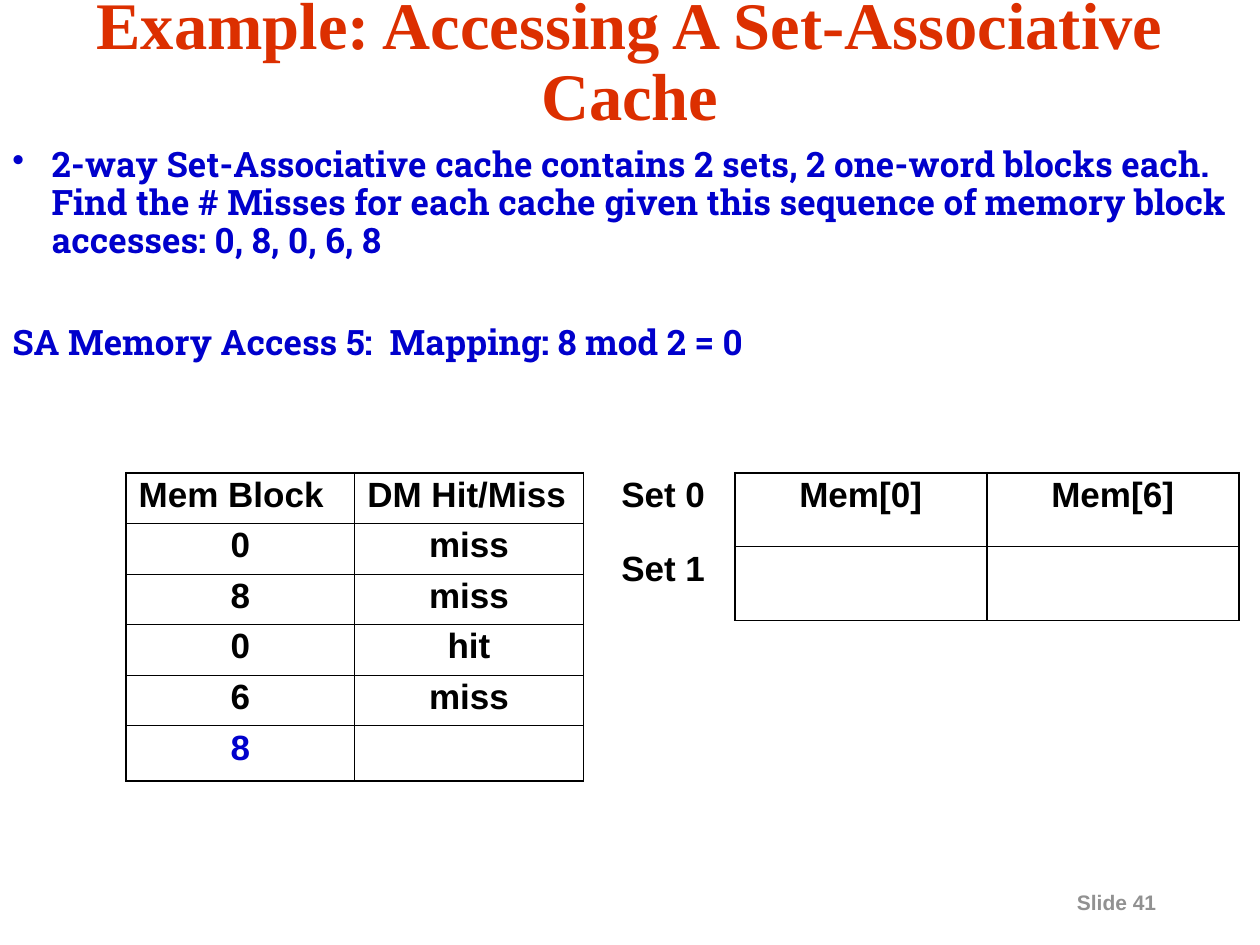
from lxml.etree import SubElement
from pptx import Presentation
from pptx.dml.color import RGBColor
from pptx.enum.text import MSO_ANCHOR, MSO_AUTO_SIZE, PP_ALIGN
from pptx.oxml.ns import qn
from pptx.util import Cm, Pt

COLORS = {"title": "DC2F00", "accent": "0000CC", "text": "000000", "footer": "919191"}
THICK, THIN = 1.08, 0.45

TITLE = "Example: Accessing A Set-Associative Cache"
QUESTION = (
    "2-way Set-Associative cache contains 2 sets, 2 one-word blocks each. "
    "Find the # Misses for each cache given this sequence of memory block "
    "accesses: 0, 8, 0, 6, 8"
)
ACCESS = "SA Memory Access 5:  Mapping: 8 mod 2 = 0"
FOOTER = "Slide 41"

CACHE = {
    "rows": [("Set 0", "Mem[0]", "Mem[6]"), ("Set 1", "", "")],
    "left": 12.27, "widths": [2.54, 5.08, 5.08], "heights": [1.49, 1.49],
    "left_aligned": {(0, 0), (1, 0)}, "accented": set(),
    "first_boxed": 1, "divider": THICK,
}
ACCESSES = {
    "rows": [("Mem Block", "DM Hit/Miss"), ("0", "miss"), ("8", "miss"),
             ("0", "hit"), ("6", "miss"), ("8", "")],
    "left": 2.54, "widths": [4.61, 4.61], "heights": [1.02] * 5 + [1.11],
    "left_aligned": {(0, 0), (0, 1)}, "accented": {(5, 0)},
    "first_boxed": 0, "divider": THIN,
}
TABLES_TOP = 9.53


def style(para, size, font, color, align=PP_ALIGN.LEFT, spacing=0.9):
    para.alignment = align
    para.line_spacing = spacing
    for span in para.runs:
        span.font.size = Pt(size)
        span.font.name = font
        span.font.bold = True
        span.font.color.rgb = RGBColor.from_string(COLORS[color])


def add_box(slide, left, top, width, height, lines):
    box = slide.shapes.add_textbox(Cm(left), Cm(top), Cm(width), Cm(height))
    frame = box.text_frame
    frame.word_wrap = True
    frame.text = "\n".join(lines)
    return frame


def hang(para, bullet=None):
    """Give a paragraph a hanging indent and, if asked, a bullet."""
    properties = para._p.get_or_add_pPr()
    properties.set("marL", str(Cm(0.79)))
    properties.set("indent", str(-Cm(0.79)))
    if bullet:
        color = SubElement(properties, qn("a:buClr"))
        SubElement(color, qn("a:srgbClr"), val=COLORS["accent"])
        SubElement(properties, qn("a:buChar"), char=bullet)
    else:
        SubElement(properties, qn("a:buNone"))


def set_borders(cell, widths):
    """Draw the left, right, top and bottom borders; a width of 0 hides one."""
    properties = cell._tc.get_or_add_tcPr()
    for side, width in zip("LRTB", widths):
        line = SubElement(properties, qn(f"a:ln{side}"), w=str(Pt(width)))
        if width:
            fill = SubElement(line, qn("a:solidFill"))
            SubElement(fill, qn("a:srgbClr"), val=COLORS["text"])
        else:
            SubElement(line, qn("a:noFill"))


def border_widths(data, row, column):
    first, last = data["first_boxed"], len(data["widths"]) - 1
    if column < first:
        return 0, THICK if column == first - 1 else 0, 0, 0
    return (
        THICK if column == first else data["divider"],
        THICK if column == last else data["divider"],
        THICK if row == 0 else THIN,
        THICK if row == len(data["rows"]) - 1 else THIN,
    )


def add_grid(slide, data):
    rows, widths, heights = data["rows"], data["widths"], data["heights"]
    table = slide.shapes.add_table(
        len(rows), len(widths), Cm(data["left"]), Cm(TABLES_TOP),
        Cm(sum(widths)), Cm(sum(heights))).table
    table.first_row = table.horz_banding = False
    for column, width in zip(table.columns, widths):
        column.width = Cm(width)
    for row, height in zip(table.rows, heights):
        row.height = Cm(height)
    for r, values in enumerate(rows):
        for c, value in enumerate(values):
            cell = table.cell(r, c)
            set_borders(cell, border_widths(data, r, c))
            cell.fill.background()
            cell.text_frame.text = value
            align = PP_ALIGN.LEFT if (r, c) in data["left_aligned"] else PP_ALIGN.CENTER
            color = "accent" if (r, c) in data["accented"] else "text"
            style(cell.text_frame.paragraphs[0], 20, "Arial", color, align)


def main():
    deck = Presentation()
    deck.slide_width, deck.slide_height = Cm(25.4), Cm(19.05)
    slide = deck.slides.add_slide(deck.slide_layouts[6])

    footer = add_box(slide, 21.46, 17.81, 3.68, 0.76, [FOOTER])
    footer.word_wrap = False
    footer.auto_size = MSO_AUTO_SIZE.SHAPE_TO_FIT_TEXT
    style(footer.paragraphs[0], 12, "Arial", "footer", spacing=1.0)

    title = add_box(slide, 0, 0.43, 25.4, 1.7, [TITLE])
    title.vertical_anchor = MSO_ANCHOR.MIDDLE
    style(title.paragraphs[0], 38, "Times New Roman", "title", PP_ALIGN.CENTER)

    body = add_box(slide, 0, 2.85, 25.4, 6.68, [QUESTION, ACCESS])
    for para, bullet in zip(body.paragraphs, ("•", None)):
        hang(para, bullet)
        style(para, 20, "Roboto Slab", "accent")
    body.paragraphs[1].space_before = Pt(36.7)

    for data in (CACHE, ACCESSES):
        add_grid(slide, data)

    deck.save("out.pptx")


if __name__ == "__main__":
    main()
